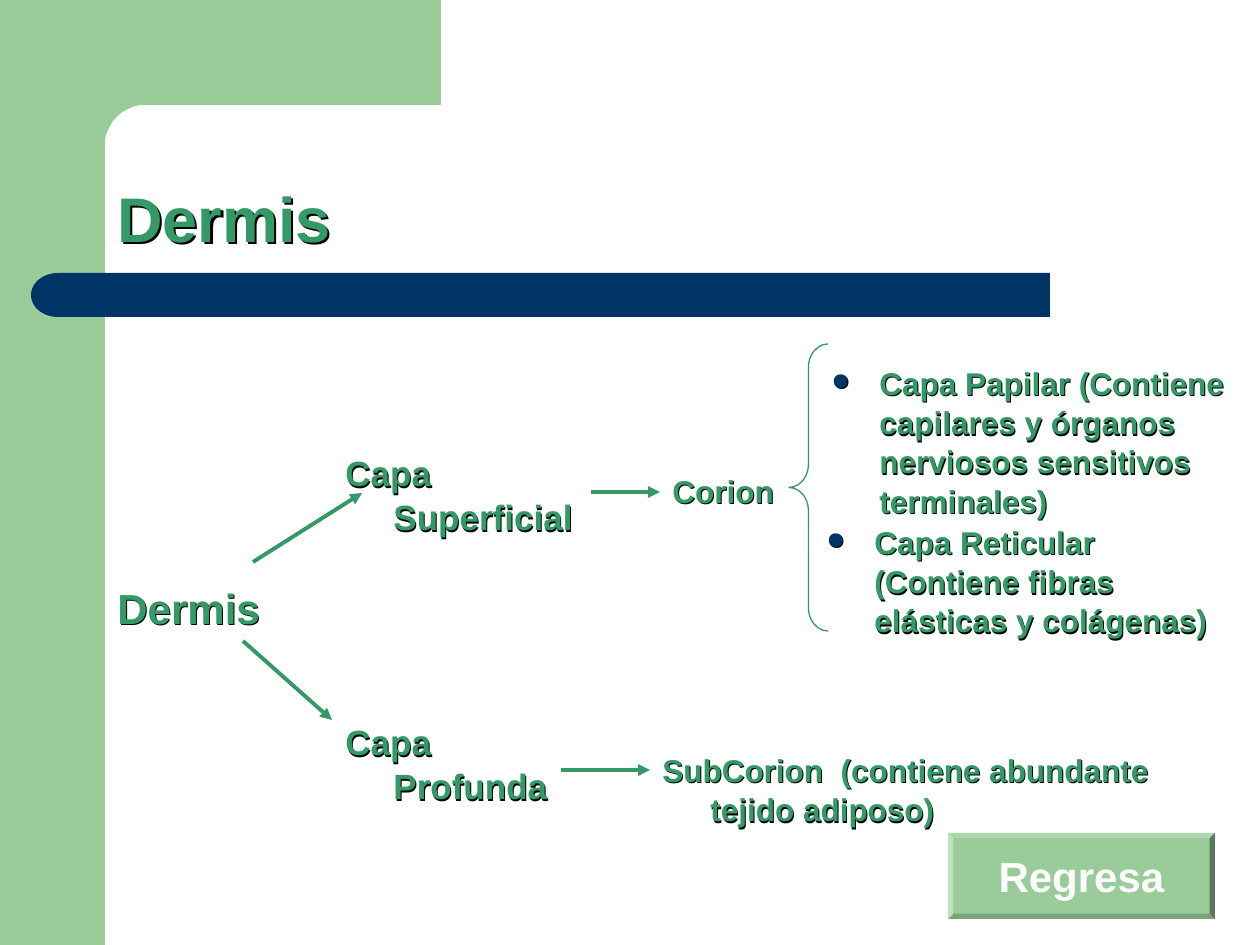
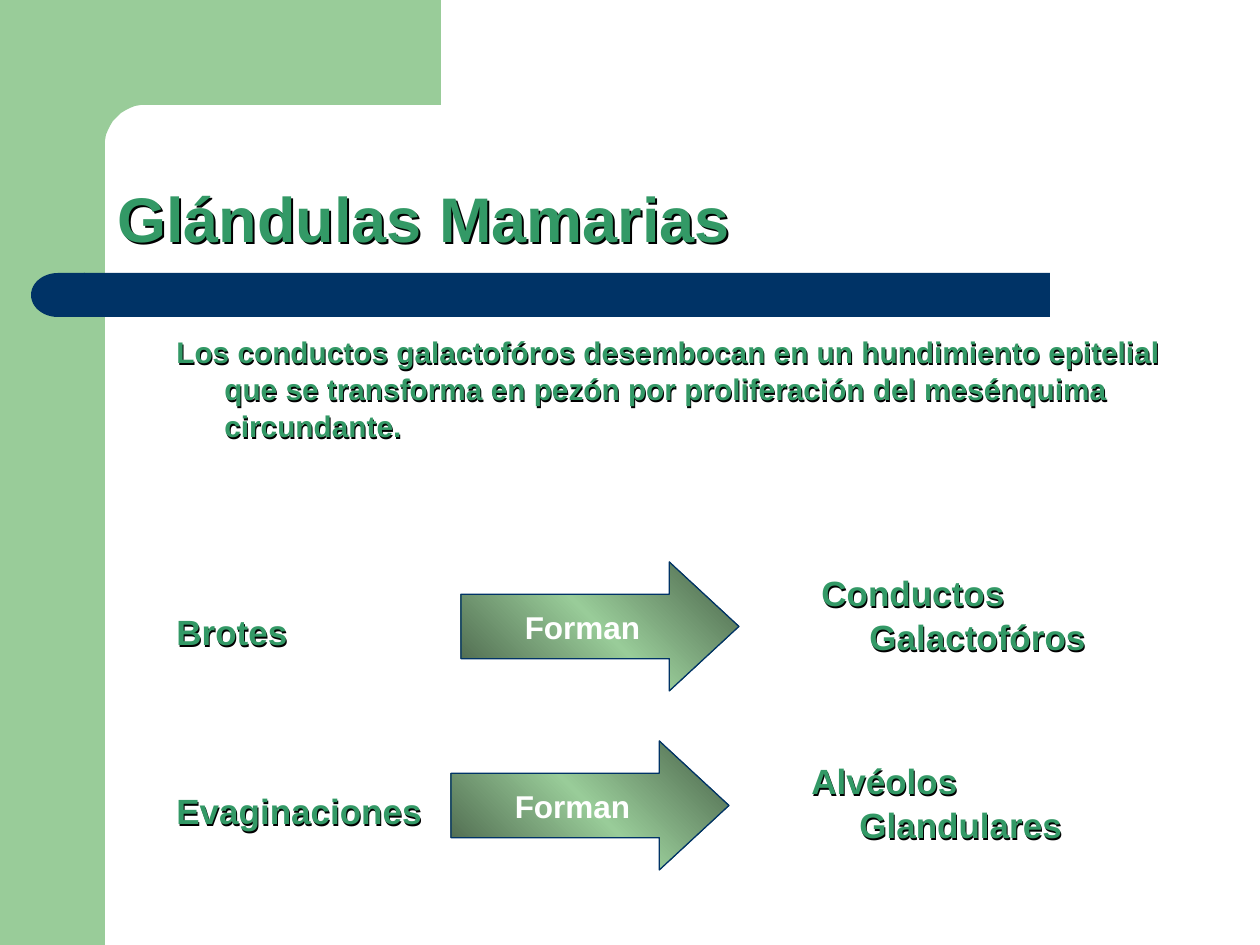
import copy
import math

import pptx
import pptx.util
import pptx.dml.color
import pptx.enum.shapes
import pptx.enum.text
import pptx.oxml
import pptx.oxml.ns

PX = 914400 / 126
FONT = "Arial"
COLORS = {"leaf": "99CC99", "navy": "003366", "text": "339966",
          "moss": "465E46", "white": "FFFFFF", "shadow": "000000"}
SHAPE = pptx.enum.shapes.MSO_SHAPE
ANCHOR = pptx.enum.text.MSO_ANCHOR
ALIGN = pptx.enum.text.PP_ALIGN
qn = pptx.oxml.ns.qn
INDENT = 48
TEXT_DROP = 2


def px(n):
    return pptx.util.Emu(round(n * PX))


def rgb(name):
    return pptx.dml.color.RGBColor.from_string(COLORS[name])


def add_xml(parent, xml):
    head, tail = xml.split(">", 1) if not xml.endswith("/>") or xml.count("<") > 1 else (xml[:-2], "/>")
    end = ">" + tail if tail != "/>" else tail
    el = pptx.oxml.parse_xml(f"{head} {pptx.oxml.ns.nsdecls('a')}{end}")
    parent.append(el)
    return el


def text_shadow(sp, dist, angle):
    add_xml(sp._element.spPr,
            f'<a:effectLst><a:outerShdw blurRad="0" dist="{px(dist)}" dir="{angle * 60000}" '
            f'algn="tl" rotWithShape="0"><a:srgbClr val="{COLORS["shadow"]}"/>'
            '</a:outerShdw></a:effectLst>')


def style_run(p, size, color):
    for r in p.runs:
        r.font.name, r.font.size, r.font.bold = FONT, pptx.util.Pt(size), True
        r.font.color.rgb = rgb(color)


def add_block(slide, kind, box, color):
    sp = slide.shapes.add_shape(kind, *map(px, box))
    sp.shadow.inherit = False
    sp.line.fill.background()
    sp.fill.solid()
    sp.fill.fore_color.rgb = rgb(color)
    return sp


def add_label(slide, box, text, size, bullet=False):
    """Bold green text with a hanging indent."""
    x, y, w, h = box
    sp = slide.shapes.add_textbox(px(x), px(y + TEXT_DROP), px(w), px(h))
    text_shadow(sp, 2, 60)
    tf = sp.text_frame
    tf.word_wrap = True
    p = tf.paragraphs[0]
    p.text = text
    p.line_spacing = 1.04
    pPr = p._p.get_or_add_pPr()
    pPr.set("marL", str(px(INDENT)))
    pPr.set("indent", str(-px(INDENT)))
    if bullet:
        add_xml(pPr, f'<a:buClr><a:srgbClr val="{COLORS["navy"]}"/></a:buClr>')
        add_xml(pPr, '<a:buSzPct val="75000"/>')
        add_xml(pPr, '<a:buChar char="●"/>')
    style_run(p, size, "text")


def add_arrow(slide, x1, y1, x2, y2):
    line = slide.shapes.add_connector(
        pptx.enum.shapes.MSO_CONNECTOR.STRAIGHT, px(x1), px(y1), px(x2), px(y2))
    line.line.color.rgb = rgb("text")
    line.line.width = pptx.util.Pt(2.25)
    add_xml(line.line._get_or_add_ln(), '<a:tailEnd type="triangle"/>')
    add_xml(line._element.spPr, "<a:effectLst/>")


def caption(sp, text, size):
    """Centred white text inside a shape."""
    tf = sp.text_frame
    tf.word_wrap = False
    tf.vertical_anchor = ANCHOR.MIDDLE
    p = tf.paragraphs[0]
    p.text = text
    p.alignment = ALIGN.CENTER
    style_run(p, size, "white")


def add_frame(slide):
    """Green side band with rounded inner corner, and navy bar."""
    add_block(slide, SHAPE.RECTANGLE, (0, 0, 105, 945), "leaf")
    inner, radius, steps = 105, 41, 12
    center = inner + radius
    arc = [(center - radius * math.sin(a), center - radius * math.cos(a))
           for a in (i * math.pi / 2 / steps for i in range(steps + 1))]
    fb = slide.shapes.build_freeform(63, 0, scale=PX)
    fb.add_line_segments([(441, 0), (441, inner), *arc, (inner, 161), (63, 161)])
    corner = fb.convert_to_shape()
    corner.shadow.inherit = False
    corner.fill.solid()
    corner.fill.fore_color.rgb = rgb("leaf")
    corner.line.fill.background()
    add_block(slide, SHAPE.RECTANGLE, (84, 273, 966, 44), "navy")
    cap = add_block(slide, SHAPE.FLOWCHART_DELAY, (31, 273, 54, 44), "navy")
    cap._element.spPr.xfrm.set("flipH", "1")


def add_title(slide, text):
    sp = slide.shapes.add_textbox(px(105), px(105), px(1092), px(157))
    text_shadow(sp, 3, 45)
    tf = sp.text_frame
    tf.word_wrap = True
    tf.vertical_anchor = ANCHOR.BOTTOM
    p = tf.paragraphs[0]
    p.text = text
    p.line_spacing = 0.9
    style_run(p, 36, "text")


def new_slide(prs, title):
    slide = prs.slides.add_slide(prs.slide_layouts[6])
    add_frame(slide)
    add_title(slide, title)
    return slide


def add_brace(slide, box):
    sp = slide.shapes.add_shape(SHAPE.LEFT_BRACE, *map(px, box))
    sp.shadow.inherit = False
    sp.adjustments[0], sp.adjustments[1] = 0.6, 0.5
    sp.fill.background()
    sp.line.color.rgb = rgb("text")
    sp.line.width = pptx.util.Pt(0.75)


def add_forman_arrow(slide, x, y):
    sp = add_block(slide, SHAPE.RIGHT_ARROW, (x, y, 278, 129), "leaf")
    sp.adjustments[0], sp.adjustments[1] = 0.5, 0.54
    sp.line.color.rgb = rgb("navy")
    sp.line.width = pptx.util.Pt(0.75)
    # Dark, light, dark along the diagonal
    sp.fill.gradient()
    sp.fill.gradient_angle = 45
    stops = sp._element.spPr.find(".//" + qn("a:gsLst"))
    stops.append(copy.deepcopy(stops[0]))
    for stop, pos, color in zip(sp.fill.gradient_stops, (0, 0.5, 1), ("moss", "leaf", "moss")):
        stop.position = pos
        stop.color.rgb = rgb(color)
    caption(sp, "Forman", 18)


def dermis_slide(prs):
    slide = new_slide(prs, "Dermis")
    # Tree of layers
    for box, text, size in [
        ((105, 572, 189, 49), "Dermis", 24),
        ((333, 442, 268, 59), "Capa Superficial", 20),
        ((333, 711, 268, 89), "Capa Profunda", 20),
        ((660, 462, 159, 49), "Corion", 18),
        ((650, 741, 535, 110), "SubCorion  (contiene abundante tejido adiposo)", 18),
    ]:
        add_label(slide, box, text, size)
    for ends in [(253, 562, 362, 493), (243, 641, 332, 720),
                 (591, 492, 660, 492), (561, 770, 650, 770)]:
        add_arrow(slide, *ends)
    # Parts of the corion
    add_brace(slide, (789, 344, 39, 287))
    for x, y, text in [
        (819, 354, "Capa Papilar (Contiene capilares y órganos nerviosos sensitivos terminales)"),
        (814, 513, "Capa Reticular (Contiene fibras elásticas y colágenas)"),
    ]:
        add_label(slide, (x, y, 441, 149), text, 18, bullet=True)
    # Return button
    button = add_block(slide, SHAPE.BEVEL, (948, 833, 267, 86), "leaf")
    button.adjustments[0] = 0.06
    caption(button, "Regresa", 24)


def glands_slide(prs):
    slide = new_slide(prs, "Glándulas Mamarias")
    add_label(slide, (164, 324, 1032, 127),
              "Los conductos galactofóros desembocan en un hundimiento epitelial que se "
              "transforma en pezón por proliferación del mesénquima circundante.", 17)
    # Each row: source, arrow, result
    for source, source_y, arrow, result, result_box in [
        ("Brotes", 601, (461, 562), "Conductos Galactofóros", (809, 562, 357, 120)),
        ("Evaginaciones", 780, (451, 741), "Alvéolos Glandulares", (799, 750, 287, 120)),
    ]:
        add_label(slide, (164, source_y, 278, 54), source, 20)
        add_forman_arrow(slide, *arrow)
        add_label(slide, result_box, result, 20)


def main():
    prs = pptx.Presentation()
    prs.slide_width, prs.slide_height = px(1260), px(945)
    dermis_slide(prs)
    glands_slide(prs)
    prs.save("out.pptx")


if __name__ == "__main__":
    main()
